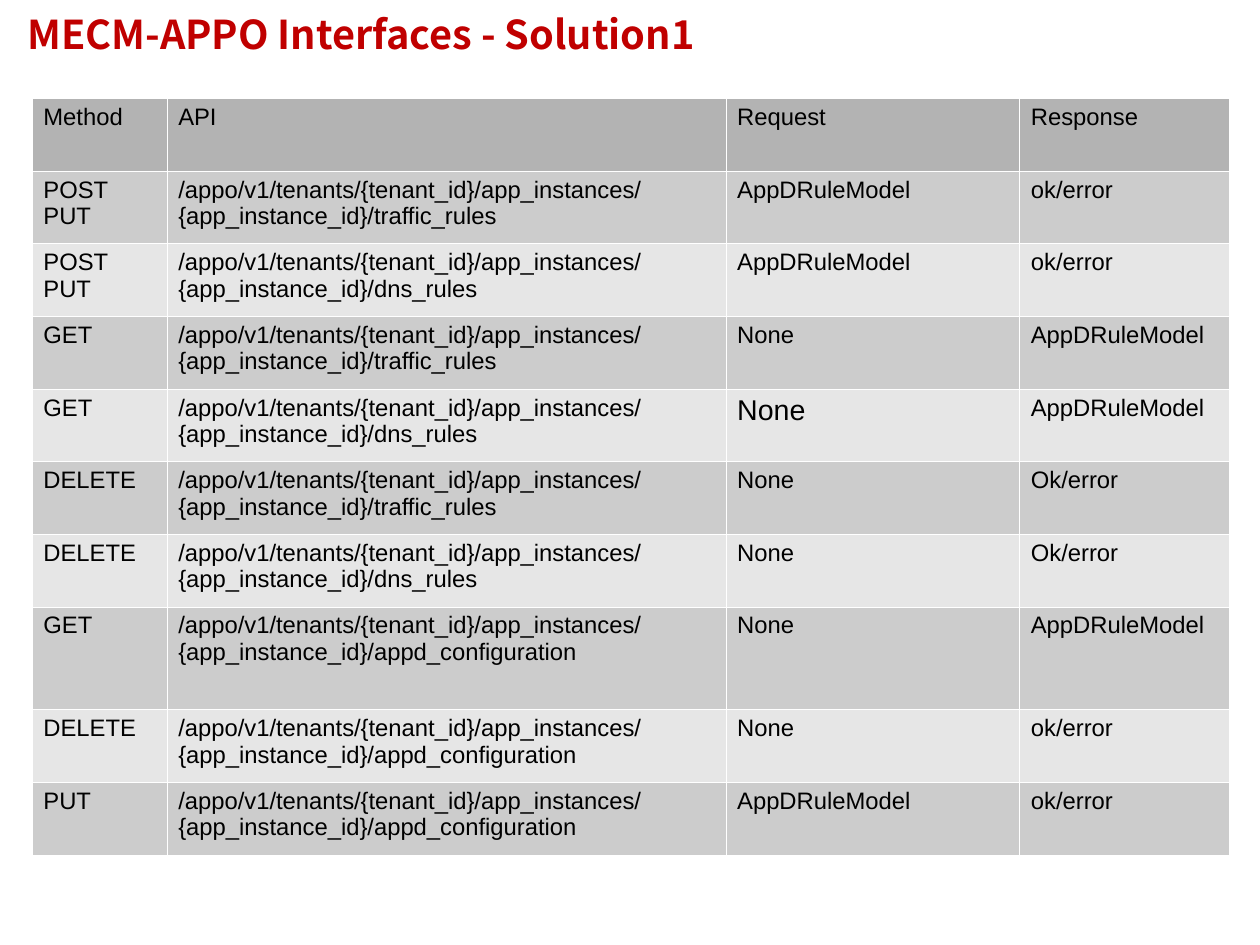
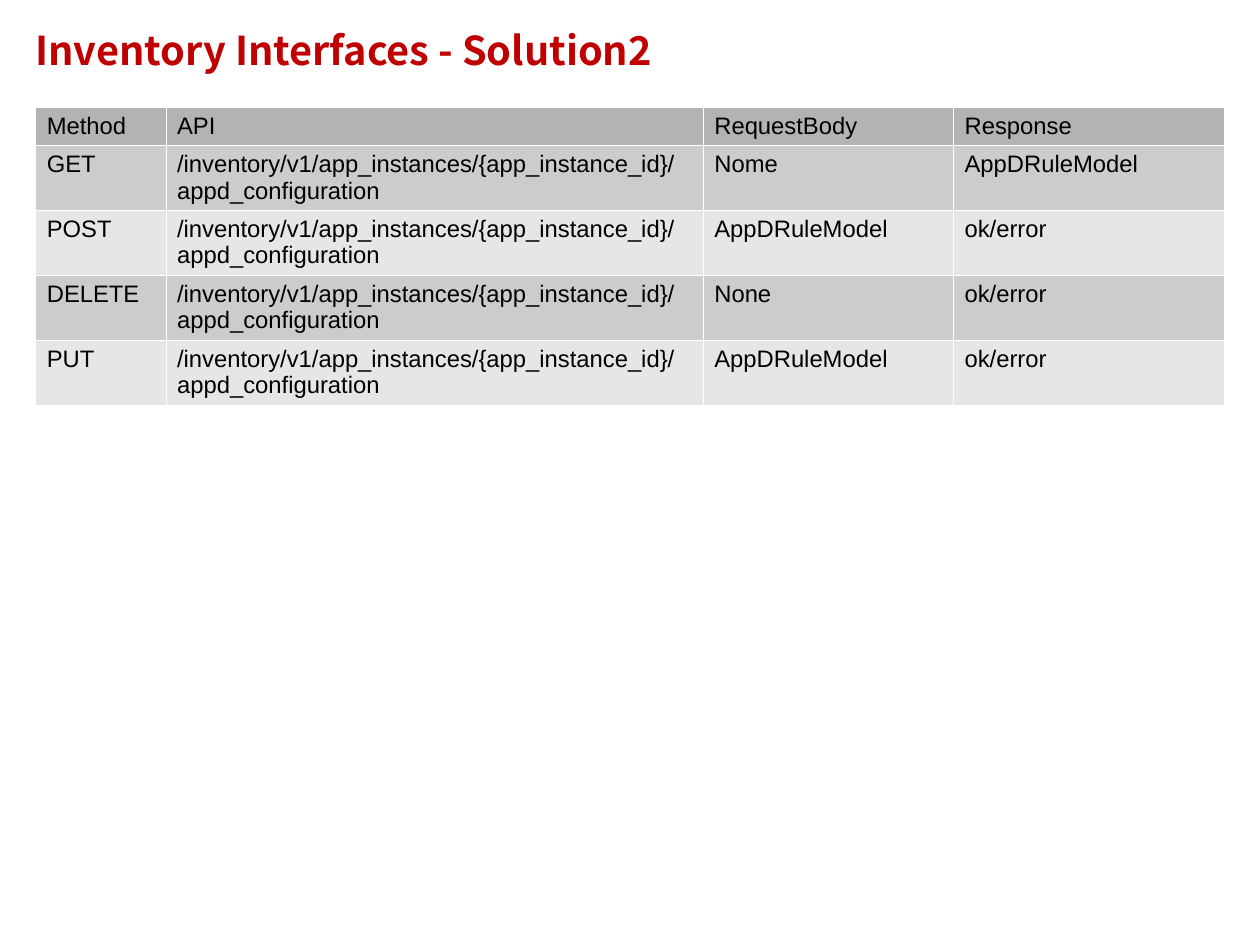
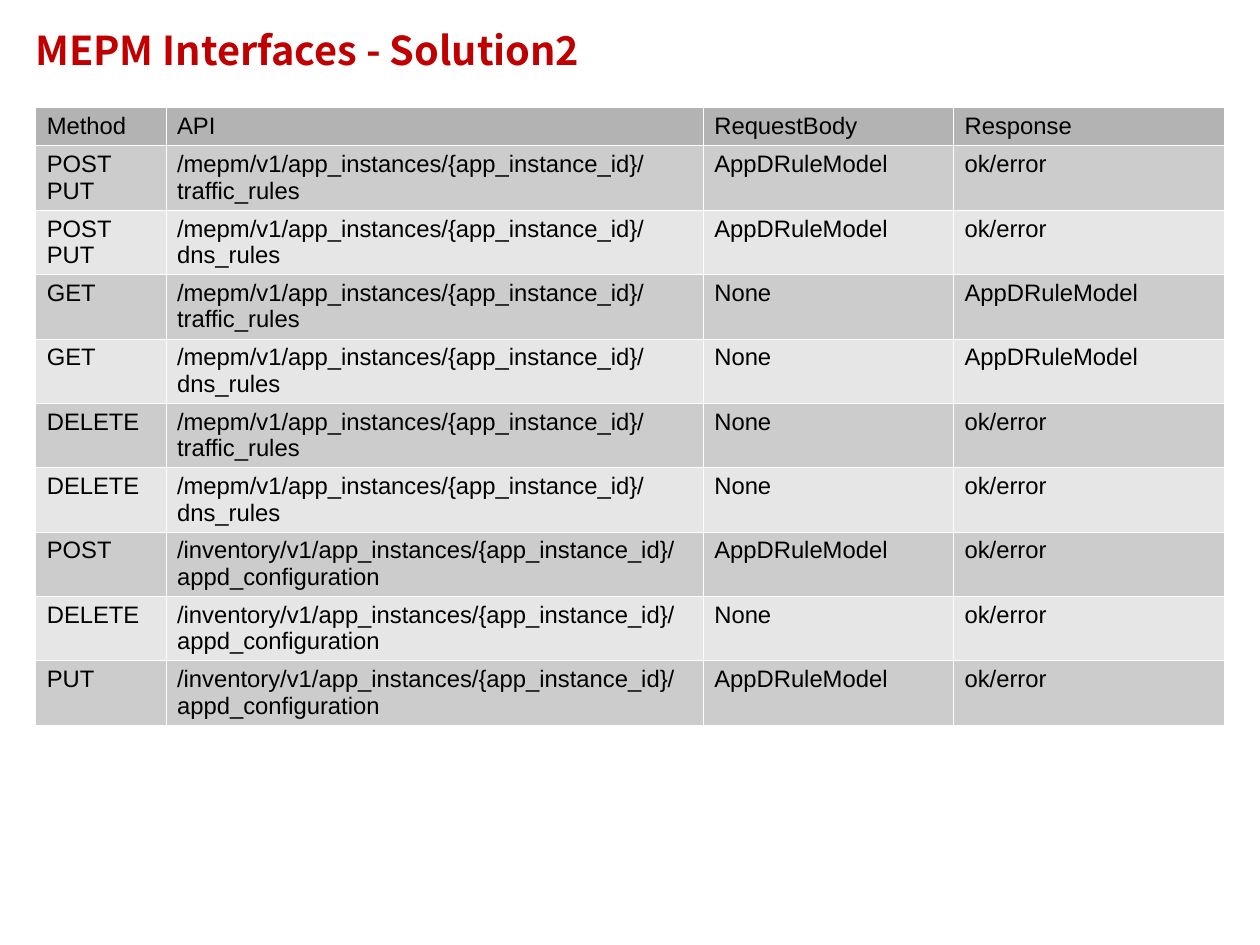
from lxml.etree import SubElement
from pptx import Presentation
from pptx.dml.color import RGBColor
from pptx.enum.text import MSO_ANCHOR, MSO_AUTO_SIZE, PP_ALIGN
from pptx.oxml.ns import qn
from pptx.util import Inches, Pt

RED = RGBColor(0xC0, 0x00, 0x00)
BLACK = RGBColor(0x00, 0x00, 0x00)
WHITE = RGBColor(0xFF, 0xFF, 0xFF)
HEAD = RGBColor(0xB3, 0xB3, 0xB3)
BANDS = [RGBColor(0xCC, 0xCC, 0xCC), RGBColor(0xE6, 0xE6, 0xE6)]
TITLE_FONT = "Noto Sans CJK SC"
TABLE_FONT = "Arial"

APPO = "/appo/v1/tenants/{tenant_id}/app_instances/{app_instance_id}/"
STOCK = "/inventory/v1/app_instances/{app_instance_id}/"
MEPM = "/mepm/v1/app_instances/{app_instance_id}/"
RULES = ["traffic_rules", "dns_rules"]
CONFIG = "appd_configuration"
MODEL = "AppDRuleModel"


def rule_rows(base, done):
    """List set, get and delete calls for each kind of rule."""
    calls = [("POST\nPUT", MODEL, "ok/error"),
             ("GET", "None", MODEL),
             ("DELETE", "None", done)]
    return [(verb, base + rule, body, reply)
            for verb, body, reply in calls for rule in RULES]


def config_row(base, verb, body, reply="ok/error"):
    return verb, base + CONFIG, body, reply


def add_title(slide, text, box):
    title = slide.shapes.title
    title.left, title.top, title.width, title.height = map(Inches, box)
    frame = title.text_frame
    frame.text = text
    frame.auto_size = MSO_AUTO_SIZE.NONE
    frame.vertical_anchor = MSO_ANCHOR.MIDDLE
    frame.margin_left = frame.margin_right = 0
    frame.margin_top = frame.margin_bottom = 0
    para = frame.paragraphs[0]
    para.alignment = PP_ALIGN.LEFT
    para.line_spacing = Pt(12.1)
    font = para.font
    font.name, font.size, font.bold = TITLE_FONT, Pt(25), True
    font.color.rgb = RED


def add_border(cell):
    props = cell._tc.get_or_add_tcPr()
    for side in ("a:lnL", "a:lnR", "a:lnT", "a:lnB"):
        line = SubElement(props, qn(side), w=str(Pt(0.06)))
        fill = SubElement(line, qn("a:solidFill"))
        SubElement(fill, qn("a:srgbClr"), val=str(WHITE))


def fill_cell(cell, text, color):
    add_border(cell)
    cell.fill.solid()
    cell.fill.fore_color.rgb = color
    cell.text = text
    for para in cell.text_frame.paragraphs:
        font = para.font
        font.name, font.size, font.bold = TABLE_FONT, Pt(15), False
        font.color.rgb = BLACK


def add_grid(slide, rows, box, widths, fixed):
    """Draw a banded table; rows not in fixed share the height left over."""
    shape = slide.shapes.add_table(len(rows), len(widths), *map(Inches, box))
    table = shape.table
    table.first_row = table.horz_banding = False
    for column, width in zip(table.columns, widths):
        column.width = Inches(width)
    share = (box[3] - sum(fixed.values())) / (len(rows) - len(fixed))
    for i, values in enumerate(rows):
        table.rows[i].height = Inches(fixed.get(i, share))
        color = BANDS[(i - 1) % 2] if i else HEAD
        for cell, text in zip(table.rows[i].cells, values):
            fill_cell(cell, text, color)
    return table


def add_page(deck, title, title_box, rows, box, widths, fixed):
    slide = deck.slides.add_slide(deck.slide_layouts[5])
    add_title(slide, title, title_box)
    return add_grid(slide, rows, box, widths, fixed)


def add_second(deck, title, rows, height):
    """Add a page of the second solution."""
    head = ("Method", "API", "RequestBody", "Response")
    add_page(deck, title, (0.31, 0.04, 6.22, 1.03), [head] + rows,
             (0.31, 0.94, 10.4, height), (1.14, 4.7, 2.19, 2.37), {0: 0.33})


def main():
    deck = Presentation()
    deck.slide_width = Inches(28 / 2.54)
    deck.slide_height = Inches(21 / 2.54)

    rows = [("Method", "API", "Request", "Response"),
            *rule_rows(APPO, "Ok/error"),
            config_row(APPO, "GET", "None", MODEL),
            config_row(APPO, "DELETE", "None"),
            config_row(APPO, "PUT", MODEL)]
    table = add_page(deck, "MECM-APPO Interfaces - Solution1",
                     (0.24, 0.16, 7.17, 0.52), rows,
                     (0.28, 0.86, 10.47, 6.62), (1.18, 4.89, 2.57, 1.83),
                     {7: 0.9})
    table.cell(4, 2).text_frame.paragraphs[0].font.size = Pt(18)

    changes = [config_row(STOCK, "POST", MODEL),
               config_row(STOCK, "DELETE", "None"),
               config_row(STOCK, "PUT", MODEL)]
    add_second(deck, "Inventory Interfaces - Solution2",
               [config_row(STOCK, "GET", "Nome", MODEL)] + changes, 2.6)
    add_second(deck, "MEPM Interfaces - Solution2",
               rule_rows(MEPM, "ok/error") + changes, 5.4)
    deck.save("out.pptx")


if __name__ == "__main__":
    main()
